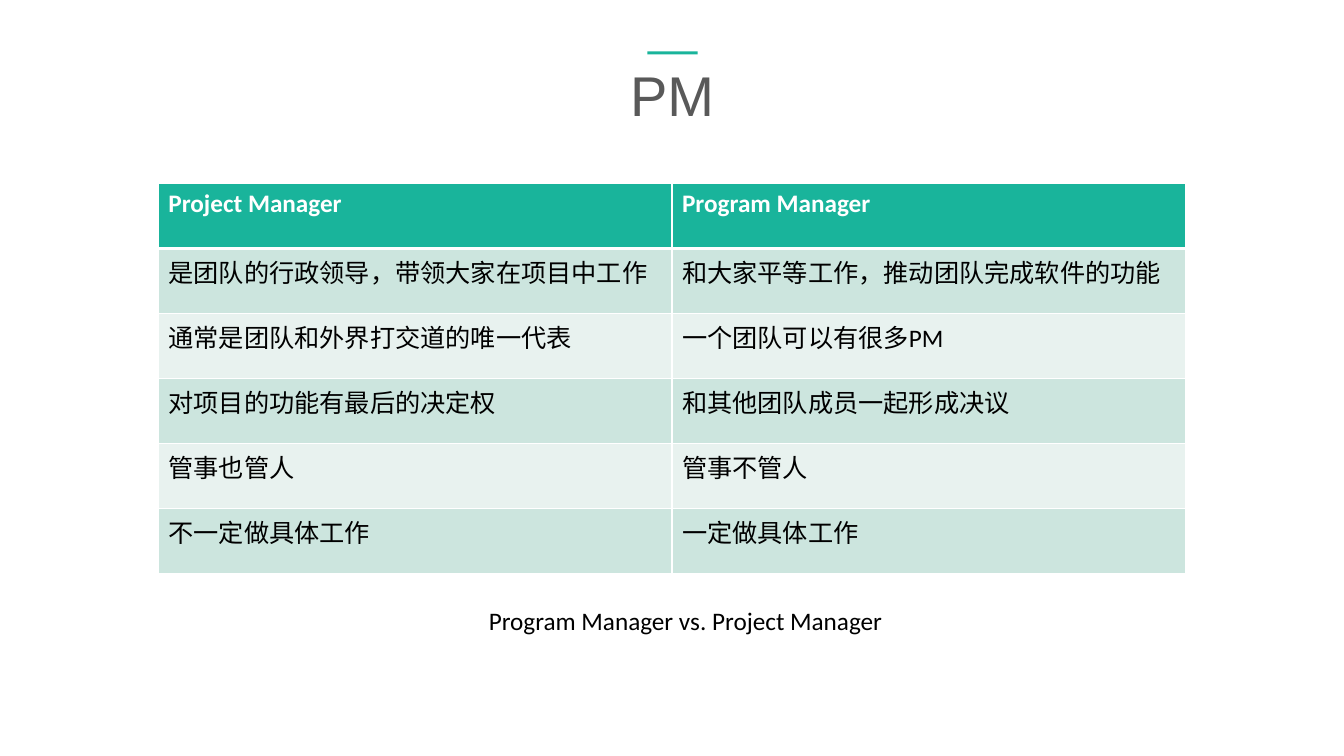
from dataclasses import dataclass

from lxml import etree
from pptx import Presentation
from pptx import util as u
from pptx.dml.color import RGBColor
from pptx.enum import shapes, text
from pptx.oxml import ns

TEAL, WHITE, BLACK, GREY = "19B49B", "FFFFFF", "000000", "595959"
BANDS = ("CCE5DE", "E8F2EF")


@dataclass(frozen=True)
class Box:
    left: float
    top: float
    width: float
    height: float

    def lengths(self) -> tuple:
        return tuple(u.Inches(v) for v in (self.left, self.top, self.width, self.height))


@dataclass(frozen=True)
class Style:
    size: float
    color: str
    font: str = "Calibri"
    bold: bool = False


@dataclass(frozen=True)
class Comparison:
    project: str
    program: str


HEADER = Comparison("Project Manager", "Program Manager")
COMPARISONS = [
    Comparison("是团队的行政领导，带领大家在项目中工作", "和大家平等工作，推动团队完成软件的功能"),
    Comparison("通常是团队和外界打交道的唯一代表", "一个团队可以有很多PM"),
    Comparison("对项目的功能有最后的决定权", "和其他团队成员一起形成决议"),
    Comparison("管事也管人", "管事不管人"),
    Comparison("不一定做具体工作", "一定做具体工作"),
]


def set_fill(fill, color: str) -> None:
    fill.solid()
    fill.fore_color.rgb = RGBColor.from_string(color)


def add_text(frame, words: str, style: Style, align=text.PP_ALIGN.LEFT) -> None:
    paragraph = frame.paragraphs[0]
    paragraph.alignment = align
    run = paragraph.add_run()
    run.text = words
    run.font.size = u.Pt(style.size)
    run.font.name = style.font
    run.font.bold = style.bold
    set_fill(run.font.fill, style.color)


def set_borders(cell, widths: dict[str, float], color: str) -> None:
    """Cell borders must come before the fill in the cell properties."""
    properties = cell._tc.get_or_add_tcPr()
    for index, (side, width) in enumerate(widths.items()):
        line = etree.Element(ns.qn(f"a:ln{side}"), w=str(u.Pt(width)))
        solid = etree.SubElement(line, ns.qn("a:solidFill"))
        etree.SubElement(solid, ns.qn("a:srgbClr"), val=color)
        properties.insert(index, line)


def add_title(slide, words: str, box: Box) -> None:
    title = slide.shapes.title
    title.left, title.top, title.width, title.height = box.lengths()
    frame = title.text_frame
    frame.word_wrap = False
    frame.auto_size = text.MSO_AUTO_SIZE.SHAPE_TO_FIT_TEXT
    frame.vertical_anchor = text.MSO_ANCHOR.TOP
    add_text(frame, words, Style(40, GREY, "Arial"), text.PP_ALIGN.CENTER)


def add_accent(slide, box: Box) -> None:
    accent = slide.shapes.add_shape(shapes.MSO_SHAPE.RECTANGLE, *box.lengths())
    accent.shadow.inherit = False
    set_fill(accent.fill, TEAL)
    accent.line.fill.background()


def add_comparison_table(slide, box: Box) -> None:
    rows = [HEADER, *COMPARISONS]
    table = slide.shapes.add_table(len(rows), 2, *box.lengths()).table
    for column in table.columns:
        column.width = u.Inches(box.width / 2)
    for index, (row, comparison) in enumerate(zip(table.rows, rows)):
        row.height = u.Inches(box.height / len(rows))
        is_header = index == 0
        style = Style(18, WHITE if is_header else BLACK, bold=is_header)
        widths = {"L": 1, "R": 1, "T": 3 if index == 1 else 1, "B": 3 if is_header else 1}
        for cell, words in zip(row.cells, (comparison.project, comparison.program)):
            set_fill(cell.fill, TEAL if is_header else BANDS[(index - 1) % 2])
            set_borders(cell, widths, WHITE)
            add_text(cell.text_frame, words, style)


def add_caption(slide, words: str, box: Box) -> None:
    frame = slide.shapes.add_textbox(*box.lengths()).text_frame
    frame.word_wrap = True
    frame.auto_size = text.MSO_AUTO_SIZE.SHAPE_TO_FIT_TEXT
    add_text(frame, words, Style(18, BLACK))


def main() -> None:
    presentation = Presentation()
    presentation.slide_width, presentation.slide_height = u.Inches(13.33), u.Inches(7.5)
    slide = presentation.slides.add_slide(presentation.slide_layouts.get_by_name("Title Only"))
    set_fill(slide.background.fill, WHITE)

    # Heading
    add_title(slide, "PM", Box(5.71, 0.55, 1.91, 0.77))
    add_accent(slide, Box(6.42, 0.51, 0.5, 0.03))

    # Comparison and its caption
    add_comparison_table(slide, Box(1.57, 1.82, 10.19, 3.87))
    add_caption(slide, "Program Manager vs. Project Manager", Box(4.75, 5.96, 4.46, 0.4))

    presentation.save("out.pptx")


if __name__ == "__main__":
    main()
